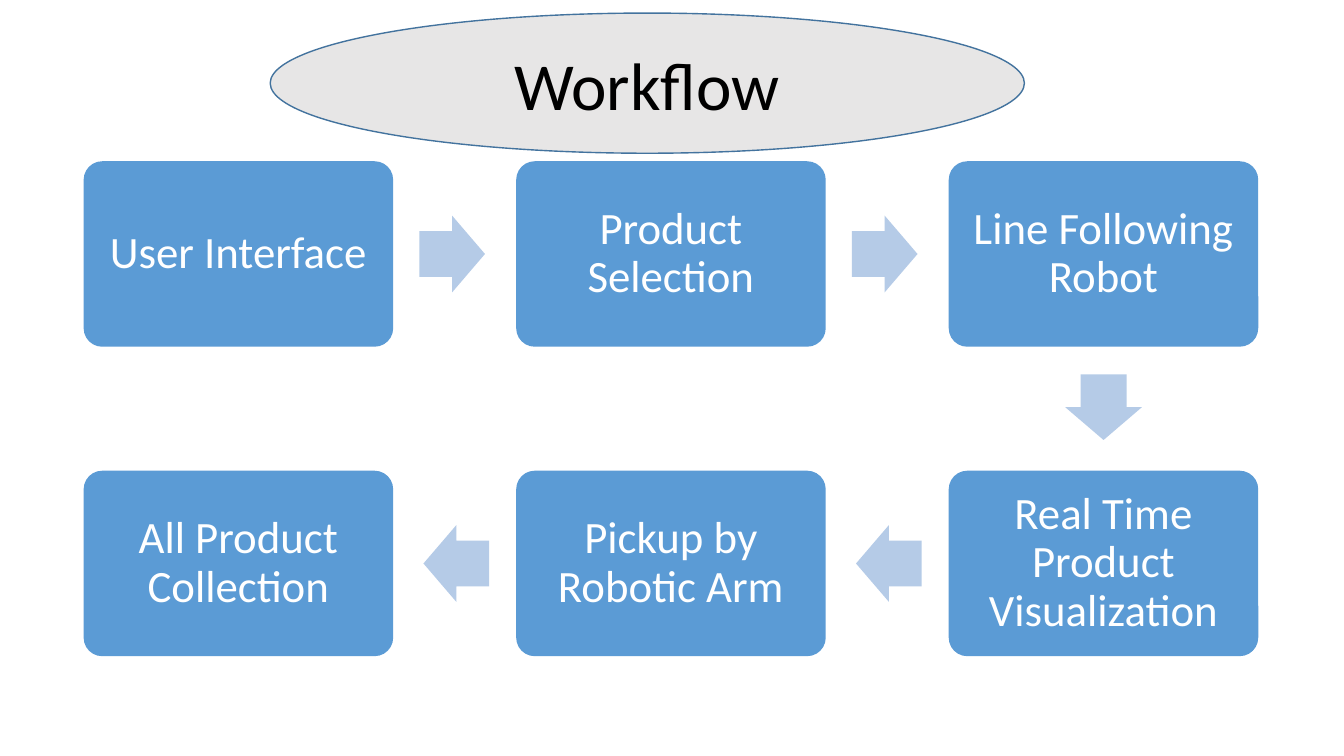
import dataclasses

import pptx
import pptx.dml.color
import pptx.enum.shapes
import pptx.enum.text
import pptx.util

RGB = pptx.dml.color.RGBColor
KIND = pptx.enum.shapes.MSO_SHAPE
PX = 9144  # EMU per px, 100 px to the inch

BLUE = RGB(0x5B, 0x9B, 0xD5)
PALE = RGB(0xB5, 0xCB, 0xE7)
GRAY = RGB(0xE7, 0xE6, 0xE6)
EDGE = RGB(0x43, 0x73, 0x9E)
WHITE = RGB(0xFF, 0xFF, 0xFF)
BLACK = RGB(0x00, 0x00, 0x00)

LEFT, TOP = 83, 160
STEP_X, STEP_Y = 429, 307
BOX_W, BOX_H = 307, 184
ARROW_W, ARROW_H = 65, 76
PAD = 13


@dataclasses.dataclass(frozen=True)
class Step:
    text: str
    col: int
    row: int


@dataclasses.dataclass(frozen=True)
class Arrow:
    """An arrow placed by its offset from the corner of a grid cell."""
    col: int
    row: int
    dx: int
    dy: int
    turn: int


STEPS = [
    Step("User Interface", 0, 0),
    Step("Product Selection", 1, 0),
    Step("Line Following Robot", 2, 0),
    Step("Real Time Product Visualization", 2, 1),
    Step("Pickup by Robotic Arm", 1, 1),
    Step("All Product Collection", 0, 1),
]
ARROWS = [
    Arrow(0, 0, 333, 54, 0),
    Arrow(1, 0, 333, 54, 0),
    Arrow(2, 0, 121, 206, 90),
    Arrow(1, 1, 337, 54, 180),
    Arrow(0, 1, 337, 54, 180),
]


def put(item: object, values: dict) -> None:
    for name, value in values.items():
        setattr(item, name, value)


def cell(col: int, row: int) -> tuple[int, int]:
    """Give the left and top of a grid cell in px."""
    return LEFT + col * STEP_X, TOP + row * STEP_Y


def add_form(slide, kind, x: int, y: int, w: int, h: int, fill: RGB):
    """Add a flat shape with no line."""
    form = slide.shapes.add_shape(kind, x * PX, y * PX, w * PX, h * PX)
    form.shadow.inherit = False
    form.fill.solid()
    form.fill.fore_color.rgb = fill
    form.line.fill.background()
    return form


def add_text(form, text: str, size: int, color: RGB, pad: dict, space: float) -> None:
    frame = form.text_frame
    put(frame, {"word_wrap": True,
                "vertical_anchor": pptx.enum.text.MSO_ANCHOR.MIDDLE, **pad})
    para = frame.paragraphs[0]
    put(para, {"text": text, "line_spacing": space,
               "alignment": pptx.enum.text.PP_ALIGN.CENTER})
    font = para.runs[0].font
    put(font, {"name": "Calibri", "size": pptx.util.Pt(size)})
    font.color.rgb = color


def add_step(slide, step: Step) -> None:
    x, y = cell(step.col, step.row)
    box = add_form(slide, KIND.ROUNDED_RECTANGLE, x, y, BOX_W, BOX_H, BLUE)
    box.adjustments[0] = 0.1
    pad = {f"margin_{side}": PAD * PX for side in ("left", "top", "right", "bottom")}
    add_text(box, step.text, 32, WHITE, pad, 0.9)


def add_arrow(slide, arrow: Arrow) -> None:
    x, y = cell(arrow.col, arrow.row)
    form = add_form(slide, KIND.RIGHT_ARROW, x + arrow.dx, y + arrow.dy,
                    ARROW_W, ARROW_H, PALE)
    form.rotation = arrow.turn
    form.adjustments[0] = 0.6
    form.adjustments[1] = 0.5


def add_title(slide) -> None:
    oval = add_form(slide, KIND.OVAL, 268, 13, 748, 139, GRAY)
    oval.line.color.rgb = EDGE
    oval.line.width = pptx.util.Pt(1)
    add_text(oval, "Workflow", 48, BLACK, {}, 1.0)


def main() -> None:
    deck = pptx.Presentation()
    put(deck, {"slide_width": 1333 * PX, "slide_height": 750 * PX})
    slide = deck.slides.add_slide(deck.slide_layouts[6])
    for step in STEPS:
        add_step(slide, step)
    for arrow in ARROWS:
        add_arrow(slide, arrow)
    add_title(slide)
    deck.save("out.pptx")


if __name__ == "__main__":
    main()
